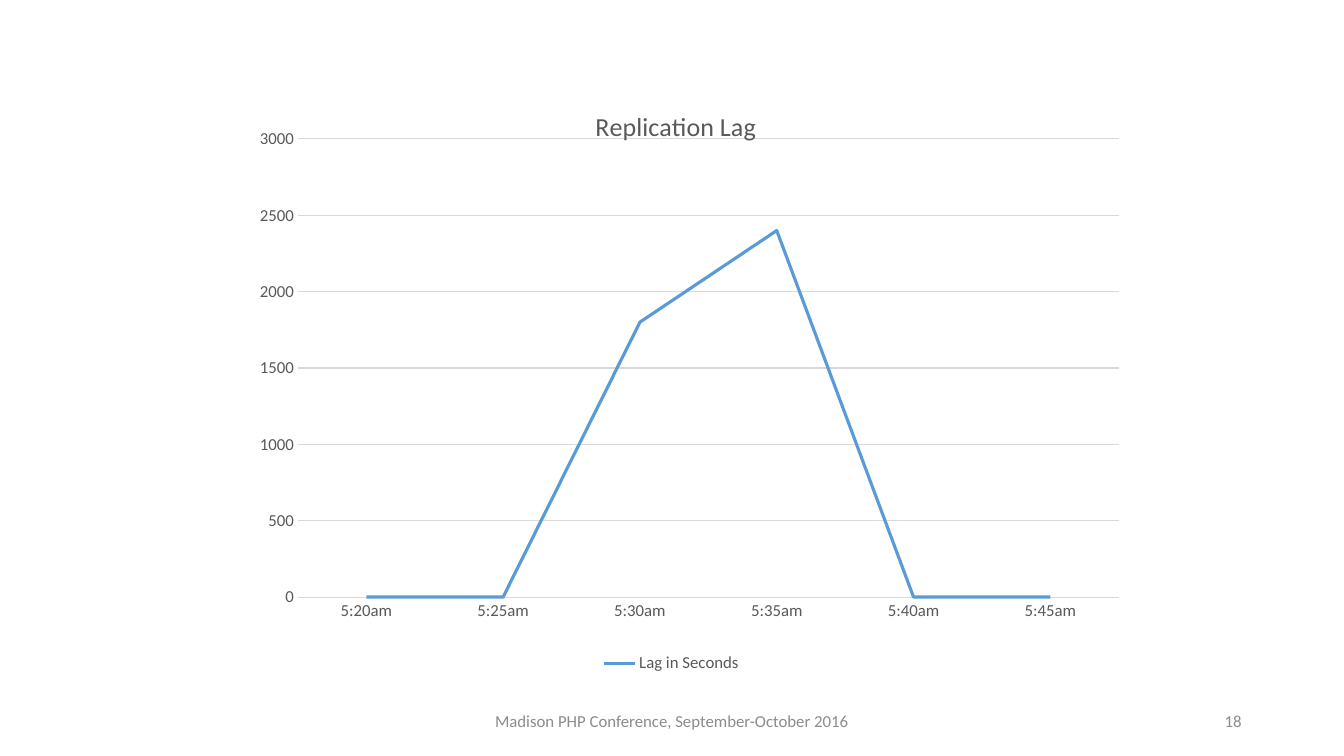
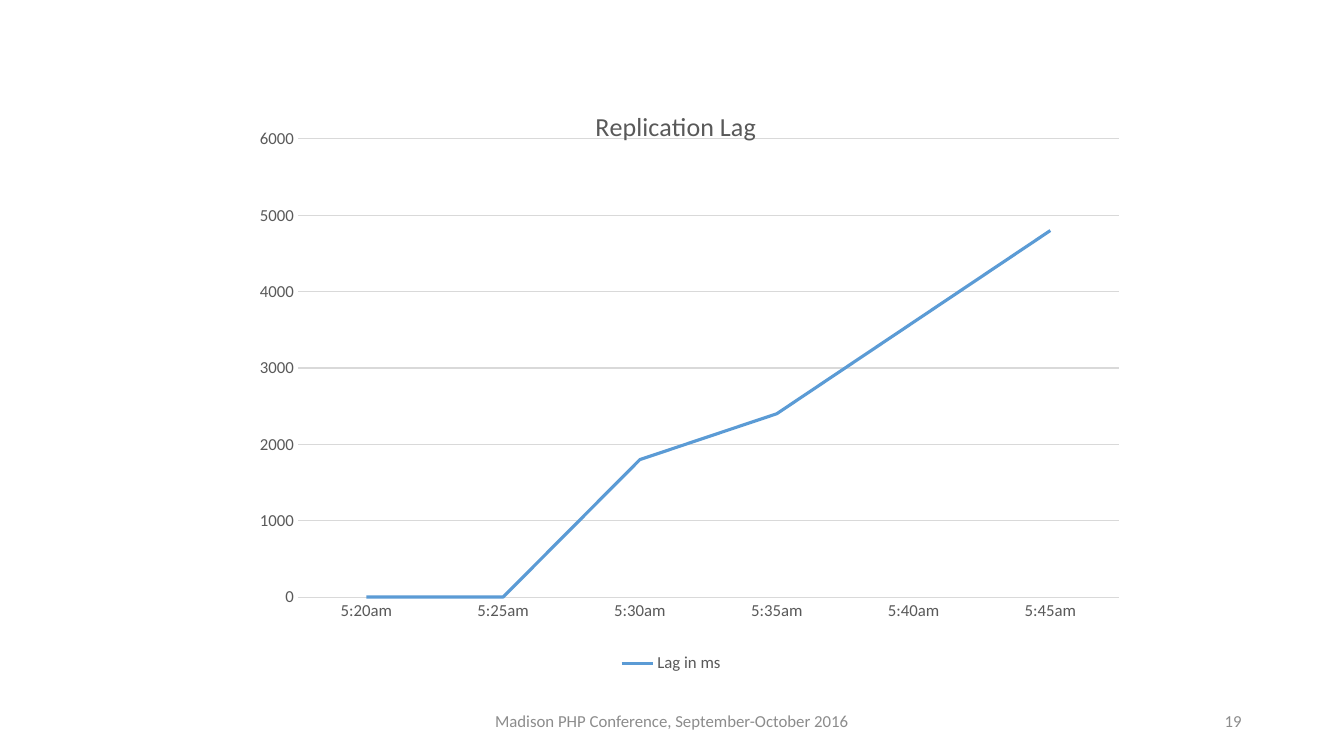
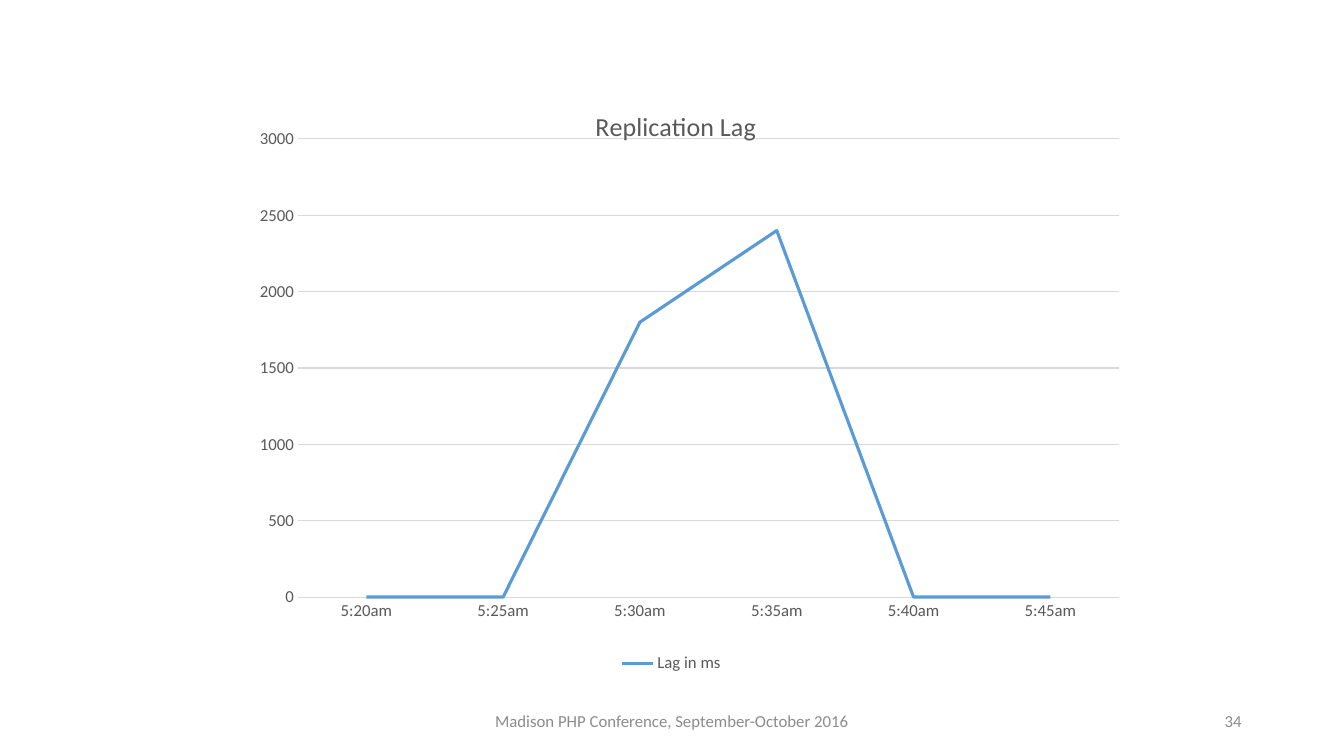
from lxml import etree
from pptx import Presentation
from pptx.chart.data import CategoryChartData
from pptx.dml.color import RGBColor
from pptx.enum.chart import XL_CHART_TYPE, XL_LEGEND_POSITION, XL_TICK_MARK
from pptx.enum.text import MSO_ANCHOR, PP_ALIGN
from pptx.oxml.ns import qn
from pptx.util import Pt

PX = 9525  # EMU per px, 96 px to the inch
FONT = "Calibri"
COLORS = {"footer": "8C8C8C", "label": "595959", "rule": "D9D9D9", "lag": "5B9BD5"}
LINE = XL_CHART_TYPE.LINE
BOTTOM = XL_LEGEND_POSITION.BOTTOM
NO_TICK = XL_TICK_MARK.NONE
MIDDLE = MSO_ANCHOR.MIDDLE
CENTER, RIGHT = PP_ALIGN.CENTER, PP_ALIGN.RIGHT

FOOTER = "Madison PHP Conference, September-October 2016"
TITLE = "Replication Lag"
TIMES = ["5:20am", "5:25am", "5:30am", "5:35am", "5:40am", "5:45am"]
RECOVERED = [0, 0, 1800, 2400, 0, 0]
GROWING = [0, 0, 1800, 2400, 3600, 4800]
SLIDES = [
    (18, "Lag in Seconds", RECOVERED),
    (19, "Lag in ms", GROWING),
    (34, "Lag in ms", RECOVERED),
]


def rgb(name):
    return RGBColor.from_string(COLORS[name])


def box(*lengths):
    return [n * PX for n in lengths]


def set_font(font, color, size=12):
    font.name = FONT
    font.size = Pt(size)
    font.bold = False
    font.color.rgb = rgb(color)


def set_line(line, color, width):
    line.color.rgb = rgb(color)
    line.width = Pt(width)


def add_footer_text(s, text, left, width, align):
    tf = s.shapes.add_textbox(*box(left, 667, width, 38)).text_frame
    tf.word_wrap = True
    tf.vertical_anchor = MIDDLE
    p = tf.paragraphs[0]
    p.text = text
    p.alignment = align
    set_font(p.font, "footer")


def set_layout(parent, index, **values):
    """Place a chart part by hand, in fractions of the chart area."""
    for old in parent.findall(qn("c:layout")):
        parent.remove(old)
    layout = etree.Element(qn("c:layout"))
    manual = etree.SubElement(layout, qn("c:manualLayout"))
    for tag, value in values.items():
        etree.SubElement(manual, qn(f"c:{tag}")).set("val", str(value))
    parent.insert(index, layout)


def add_title(chart):
    chart.has_title = True
    title = chart.chart_title
    title.include_in_layout = False
    p = title.text_frame.paragraphs[0]
    p.text = TITLE
    set_font(p.font, "label", 18.6)
    set_layout(title._element, 1, xMode="edge", yMode="edge", x=0.41, y=0.04)


def style_axes(chart):
    for axis in (chart.category_axis, chart.value_axis):
        axis.major_tick_mark = axis.minor_tick_mark = NO_TICK
        set_font(axis.tick_labels.font, "label")
    set_line(chart.category_axis.format.line, "rule", 0.75)
    chart.value_axis.format.line.fill.background()
    chart.value_axis.has_major_gridlines = True
    set_line(chart.value_axis.major_gridlines.format.line, "rule", 0.75)


def add_lag_chart(s, name, values):
    data = CategoryChartData()
    data.categories = TIMES
    data.add_series(name, values)
    chart = s.shapes.add_chart(LINE, *box(213, 76, 853, 569), data).chart
    set_font(chart.font, "label")
    add_title(chart)
    style_axes(chart)
    chart.has_legend = True
    chart.legend.position = BOTTOM
    chart.legend.include_in_layout = False
    set_font(chart.legend.font, "label")
    plot = chart.plots[0]
    plot.vary_by_categories = False
    series = plot.series[0]
    series.smooth = False
    set_line(series.format.line, "lag", 2.25)
    plot_area = chart._chartSpace.chart.plotArea
    set_layout(plot_area, 0, layoutTarget="inner", xMode="edge", yMode="edge",
               x=0.083, y=0.099, w=0.917, h=0.767)


def main():
    prs = Presentation()
    prs.slide_width, prs.slide_height = box(1280, 720)
    for number, name, values in SLIDES:
        s = prs.slides.add_slide(prs.slide_layouts[6])
        add_footer_text(s, FOOTER, 424, 432, CENTER)
        add_footer_text(s, str(number), 904, 288, RIGHT)
        add_lag_chart(s, name, values)
    prs.save("out.pptx")


if __name__ == "__main__":
    main()
